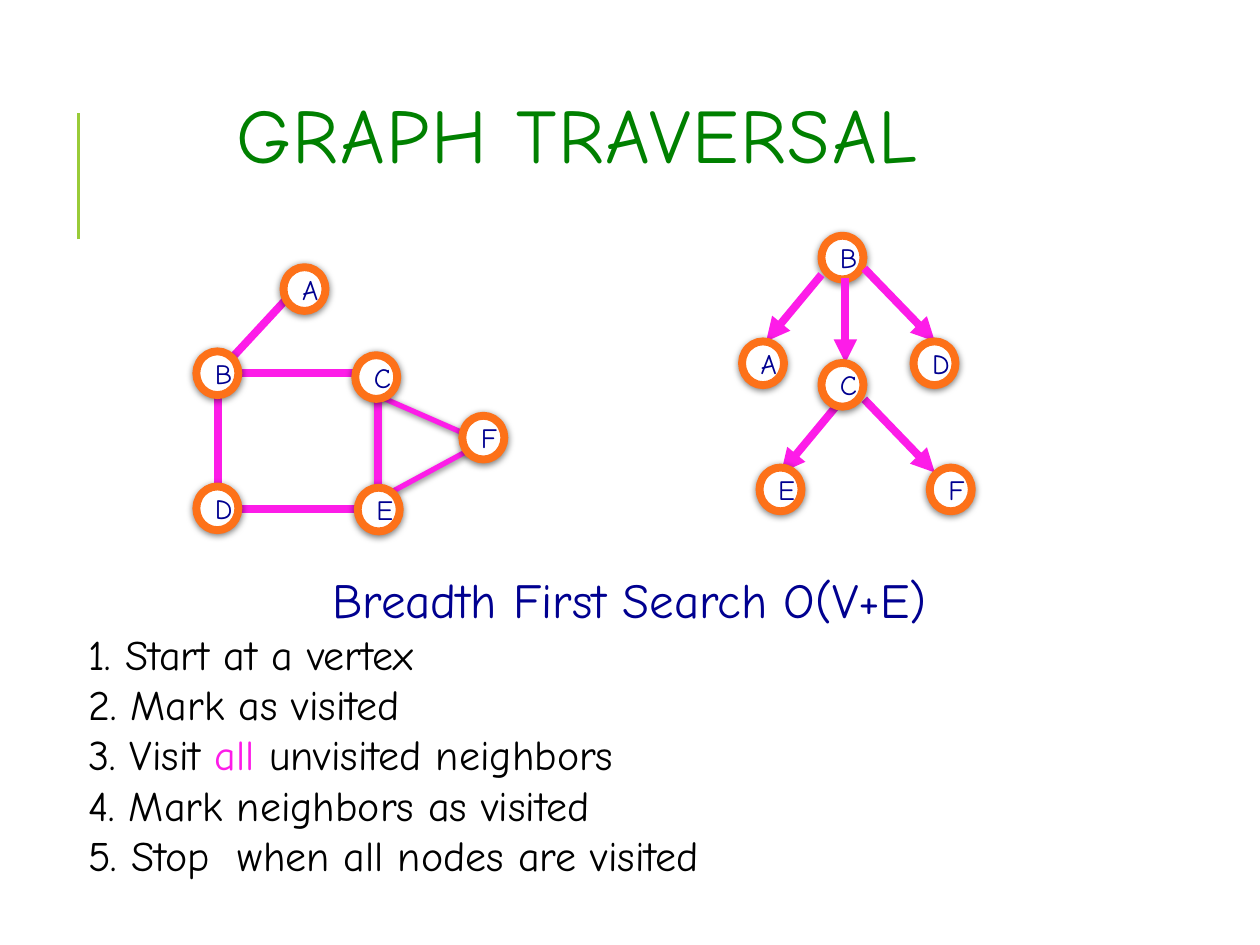
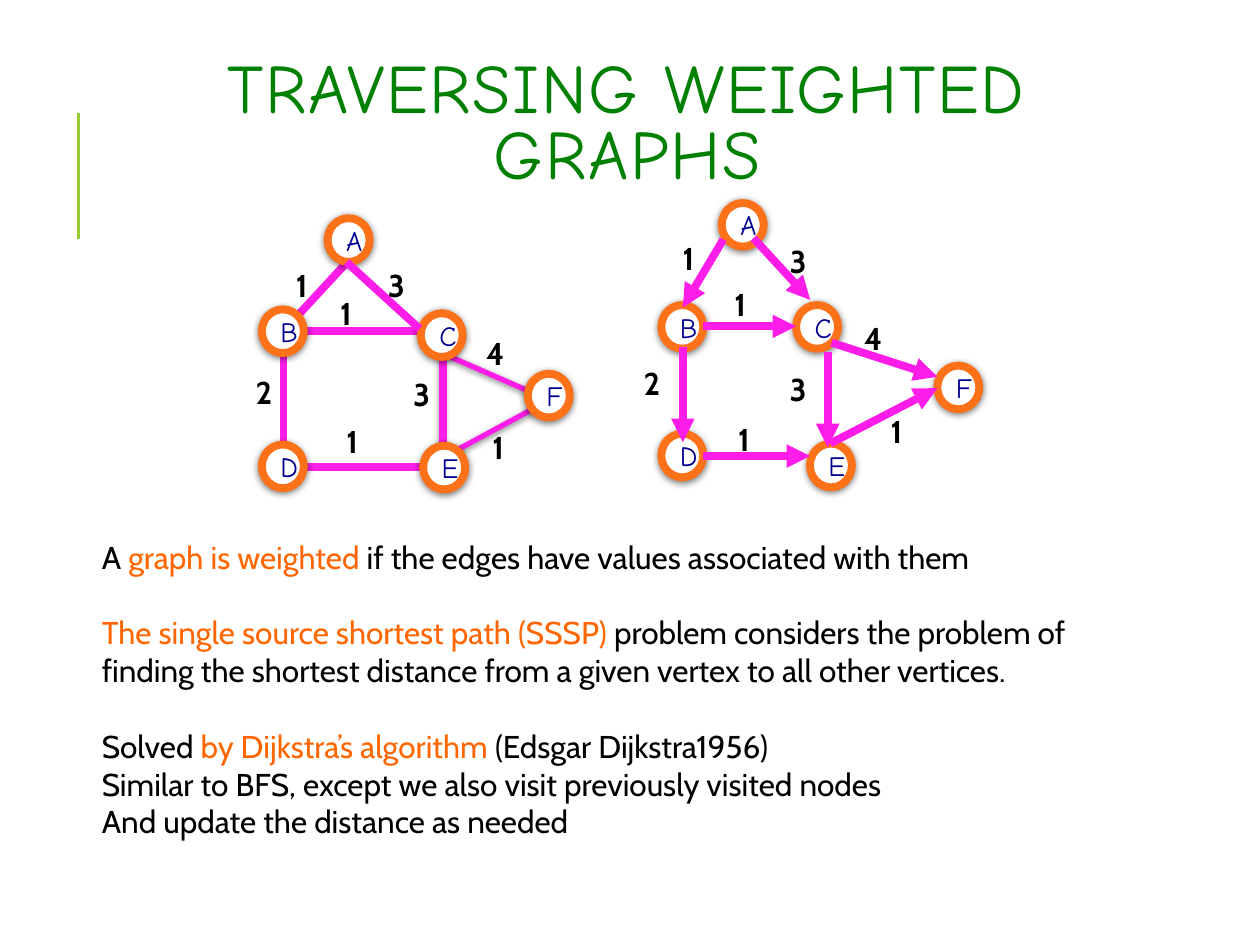
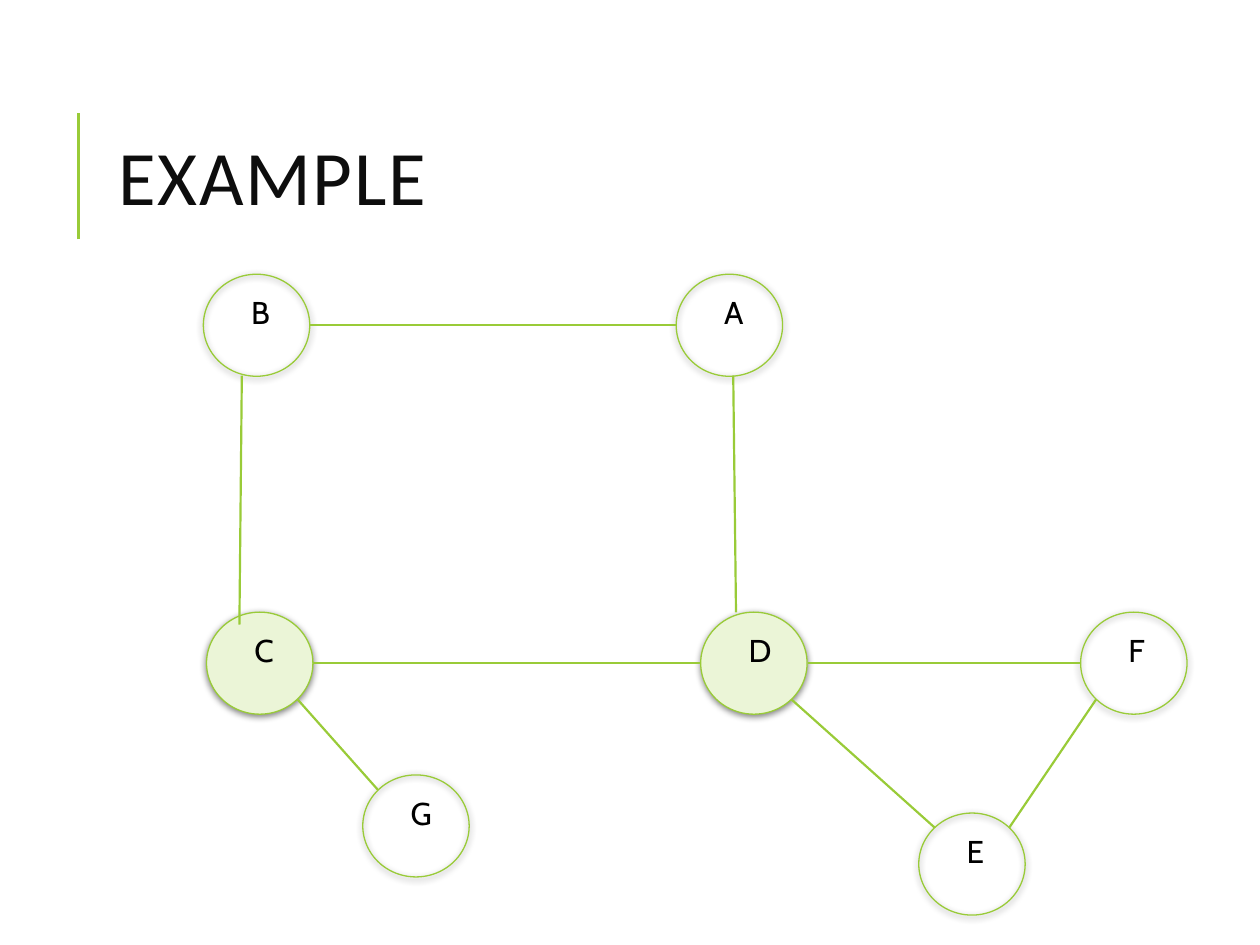
from lxml import etree
from pptx import Presentation
from pptx.dml.color import RGBColor
from pptx.enum import shapes, text
from pptx.oxml import ns
from pptx.util import Pt

GREEN, DARK_GREEN, PALE_GREEN = "99CB38", "008000", "EBF5D7"
PINK, RING, ORANGE = "FD1CE8", "FD7119", "FF6600"
NAVY, BLACK, NEAR_BLACK, WHITE = "000090", "000000", "0D0D0D", "FFFFFF"
HAND, BODY, PLAIN = "Comic Neue", "Cabin", "Calibri"
CENTER, LEFT = text.PP_ALIGN.CENTER, text.PP_ALIGN.LEFT
OVAL = shapes.MSO_SHAPE.OVAL


def rgb(color):
    return RGBColor.from_string(color)


def add_xml(parent, tag, **attributes):
    return etree.SubElement(parent, ns.qn(tag), attributes)


class Deck:
    def __init__(self):
        self.prs = Presentation()
        self.prs.slide_width, self.prs.slide_height = Pt(720), Pt(540)
        self.slide = None

    def new_slide(self):
        self.slide = self.prs.slides.add_slide(self.prs.slide_layouts[6])
        self.line((44.8, 136.8), (44.8, 64.8), GREEN, 1.5)

    def fill_paragraph(self, paragraph, runs, font, size, color, align=LEFT, bold=False):
        """Runs are one string, or strings and (string, colour) pairs."""
        paragraph.alignment = align
        style = paragraph.font
        style.name, style.size, style.bold = font, Pt(size), bold
        style.color.rgb = rgb(color)
        for part in [runs] if isinstance(runs, str) else runs:
            words, accent = (part, None) if isinstance(part, str) else part
            run = paragraph.add_run()
            run.text = words
            if accent:
                run.font.color.rgb = rgb(accent)

    def text_box(self, left, top, width, height):
        frame = self.slide.shapes.add_textbox(
            Pt(left), Pt(top), Pt(width), Pt(height)).text_frame
        frame.word_wrap = True
        return frame

    def title(self, words, box, font=HAND, size=44, color=DARK_GREEN, align=CENTER):
        frame = self.text_box(*box)
        frame.vertical_anchor = text.MSO_ANCHOR.MIDDLE
        paragraph = frame.paragraphs[0]
        self.fill_paragraph(paragraph, words, font, size, color, align)
        paragraph.line_spacing = 0.8
        paragraph.runs[0].font._element.set("spc", "100")

    def label(self, words, left, top, bold=True):
        frame = self.text_box(left, top, 29.5 if bold else 24.5, 29)
        self.fill_paragraph(frame.paragraphs[0], words, BODY, 18, BLACK, bold=bold)

    def line(self, start, end, color=PINK, width=4.5, arrow=False):
        edge = self.slide.shapes.add_connector(
            shapes.MSO_CONNECTOR.STRAIGHT, *map(Pt, (*start, *end)))
        edge.line.color.rgb = rgb(color)
        edge.line.width = Pt(width)
        properties = edge._element.spPr
        if arrow:
            add_xml(properties.find(ns.qn("a:ln")), "a:tailEnd", type="triangle")
        add_xml(properties, "a:effectLst")

    def arrow(self, start, end):
        self.line(start, end, arrow=True)

    def shape(self, kind, box, color, width, fill=None, shadow=True):
        shape = self.slide.shapes.add_shape(kind, *map(Pt, box))
        if fill:
            shape.fill.solid()
            shape.fill.fore_color.rgb = rgb(fill)
        else:
            shape.fill.background()
        shape.line.color.rgb = rgb(color)
        shape.line.width = Pt(width)
        shape.shadow.inherit = False
        if shadow:
            effects = shape._element.spPr.find(ns.qn("a:effectLst"))
            outer = add_xml(effects, "a:outerShdw", blurRad=str(Pt(4)), dist=str(Pt(1)),
                            dir="5400000", rotWithShape="0")
            black = add_xml(outer, "a:srgbClr", val=BLACK)
            add_xml(black, "a:alpha", val="50000")
        return shape

    def vertex(self, letter, x, y):
        """A ringed letter centred on x, y."""
        ring = self.shape(OVAL, (x - 12, y - 12.5, 24, 25), RING, 4.5, WHITE)
        frame = ring.text_frame
        frame.vertical_anchor = text.MSO_ANCHOR.MIDDLE
        self.fill_paragraph(frame.paragraphs[0], letter, HAND, 16, NAVY, CENTER)

    def undirected_graph(self, dx, dy, a_center):
        """Square B-C-E-D with triangle C-E-F, and A joined to B."""
        self.line((124.6 + dx, 213.1 + dy), (163.4 + dx, 171.2 + dy))
        triangle = self.shape(shapes.MSO_SHAPE.ISOSCELES_TRIANGLE,
                              (216 + dx, 225.2 + dy, 59.8, 61.2), PINK, 3)
        triangle.adjustments[0] = 0.447
        triangle.rotation = 90
        self.shape(shapes.MSO_SHAPE.RECTANGLE, (124.6 + dx, 213.1 + dy, 91.4, 77.8),
                   PINK, 4.5, shadow=False)
        for letter, x, y in [("C", 215, 215.5), ("B", 124.2, 213.3), ("D", 124.2, 290.5),
                             ("E", 216.4, 291.2), ("F", 276.2, 250.1)]:
            self.vertex(letter, x + dx, y + dy)
        self.vertex("A", *a_center)

    def big_vertex(self, letter, left, top, fill=None):
        self.shape(OVAL, (left, top, 60.8, 58.3), GREEN, 0.75, fill)
        self.label(letter, left + 20.3, top + 7.2, bold=False)


def traversal_slide(deck):
    deck.new_slide()
    deck.title("GRAPH TRAVERSAL", (53.3, 36, 553, 90))
    deck.undirected_graph(0, 0, (174, 165.2))

    # Search tree from B
    deck.vertex("B", 481.4, 147.2)
    for start, end in [((469.4, 157), (437.8, 195.1)), ((483.1, 159.1), (483.1, 207.4)),
                       ((493.9, 153.4), (534.2, 195.1)), ((478.1, 231.8), (446.4, 270)),
                       ((493.9, 228.2), (534.2, 270))]:
        deck.arrow(start, end)
    for letter, x, y in [("A", 436, 207.6), ("C", 481.4, 219.9), ("D", 534, 207.6),
                         ("E", 446, 279.7), ("F", 543.3, 279.7)]:
        deck.vertex(letter, x, y)

    # Steps of the search
    steps = deck.text_box(35.3, 321.8, 648.7, 208)
    deck.fill_paragraph(steps.paragraphs[0], "Breadth First Search O(V+E)",
                        HAND, 28, NAVY, CENTER)
    for step in [" 1. Start at a vertex",
                 " 2. Mark as visited",
                 [" 3. Visit ", ("all", PINK), " unvisited neighbors"],
                 " 4. Mark neighbors as visited",
                 " 5. Stop  when all nodes are visited"]:
        deck.fill_paragraph(steps.add_paragraph(), step, HAND, 24, BLACK)


def weighted_slide(deck):
    deck.new_slide()
    deck.title("TRAVERSING WEIGHTED GRAPHS", (82, 27.4, 553, 90), size=39.6)

    # Undirected graph and its weights
    deck.undirected_graph(37.4, -24, (199.2, 137.2))
    deck.line((198, 149.8), (239.8, 187.9))
    for weight, left, top in [("1", 162, 148.3), ("3", 214.6, 148.3), ("1", 187.2, 164.2),
                              ("2", 139, 209.5), ("1", 190.8, 237.6), ("3", 229, 211),
                              ("4", 270.7, 187.2), ("1", 274.3, 241.2)]:
        deck.label(weight, left, top)

    # Directed graph and its weights
    for letter, x, y in [("A", 424.4, 128.5), ("B", 389.9, 186.8), ("C", 466.9, 186.8),
                         ("D", 389.9, 260.3), ("E", 474.8, 266), ("F", 547.6, 221.4)]:
        deck.vertex(letter, x, y)
    for start, end, weight, corner in [
            ((413.3, 136.8), (390.2, 175.7), "1", (383, 133.2)),
            ((430.6, 136.1), (463, 171.4), "3", (444.2, 134.6)),
            ((401.8, 186.5), (455, 186.5), "1", (412.6, 159.1)),
            ((473, 200.9), (473, 255.6), "3", (444.2, 208.1)),
            ((390.2, 198), (390.2, 252.7), "2", (360.7, 204.5)),
            ((401.8, 260.6), (463, 260.6), "1", (414.7, 236.2)),
            ((475.2, 195.8), (535.7, 215.3), "4", (486.7, 178.6)),
            ((474.5, 253.4), (535.7, 221.8), "1", (501.8, 231.8))]:
        deck.arrow(start, end)
        deck.label(weight, *corner)

    # Explanation: a gap of one line before each new topic
    explanation = deck.text_box(51.1, 303.8, 701.3, 181.4)
    topics = [
        [["A ", ("graph is weighted", ORANGE),
          " if the edges have values associated with them"]],
        [[("The single source shortest path (SSSP) ", ORANGE),
          "problem considers the problem of"],
         "finding the shortest distance from a given vertex to all other vertices."],
        [["Solved ", ("by Dijkstra’s algorithm ", ORANGE), "(Edsgar Dijkstra1956)"],
         "Similar to BFS, except we also visit previously visited nodes",
         "And update the distance as needed"]]
    paragraph = explanation.paragraphs[0]
    for number, topic in enumerate(topics):
        for position, sentence in enumerate(topic):
            if number or position:
                paragraph = explanation.add_paragraph()
            if number and not position:
                paragraph.space_before = Pt(21.6)
            deck.fill_paragraph(paragraph, sentence, BODY, 18, BLACK)


def example_slide(deck):
    deck.new_slide()
    deck.title("EXAMPLE", (60.5, 46, 574, 118), PLAIN, color=NEAR_BLACK, align=LEFT)
    for letter, left, top, fill in [
            ("B", 116.2, 156.7, None), ("A", 386.4, 156.7, None),
            ("C", 118, 349.8, PALE_GREEN), ("D", 400.4, 349.8, PALE_GREEN),
            ("F", 617.5, 349.8, None), ("E", 525, 464.6, None), ("G", 207.3, 442.8, None)]:
        deck.big_vertex(letter, left, top, fill)
    for start, end in [((177, 185.8), (386.6, 185.8)), ((138.2, 214.6), (136.8, 357)),
                       ((419, 214.6), (420.6, 349.9)), ((178.6, 378.7), (400.3, 378.7)),
                       ((170, 399.6), (216, 451.4)), ((461.5, 378.7), (617.8, 378.7)),
                       ((452.2, 399.6), (534.2, 473)), ((576.7, 473), (626.4, 399.6))]:
        deck.line(start, end, GREEN, 1.25)


def main():
    deck = Deck()
    for build in (traversal_slide, weighted_slide, example_slide):
        build(deck)
    deck.prs.save("out.pptx")


if __name__ == "__main__":
    main()
